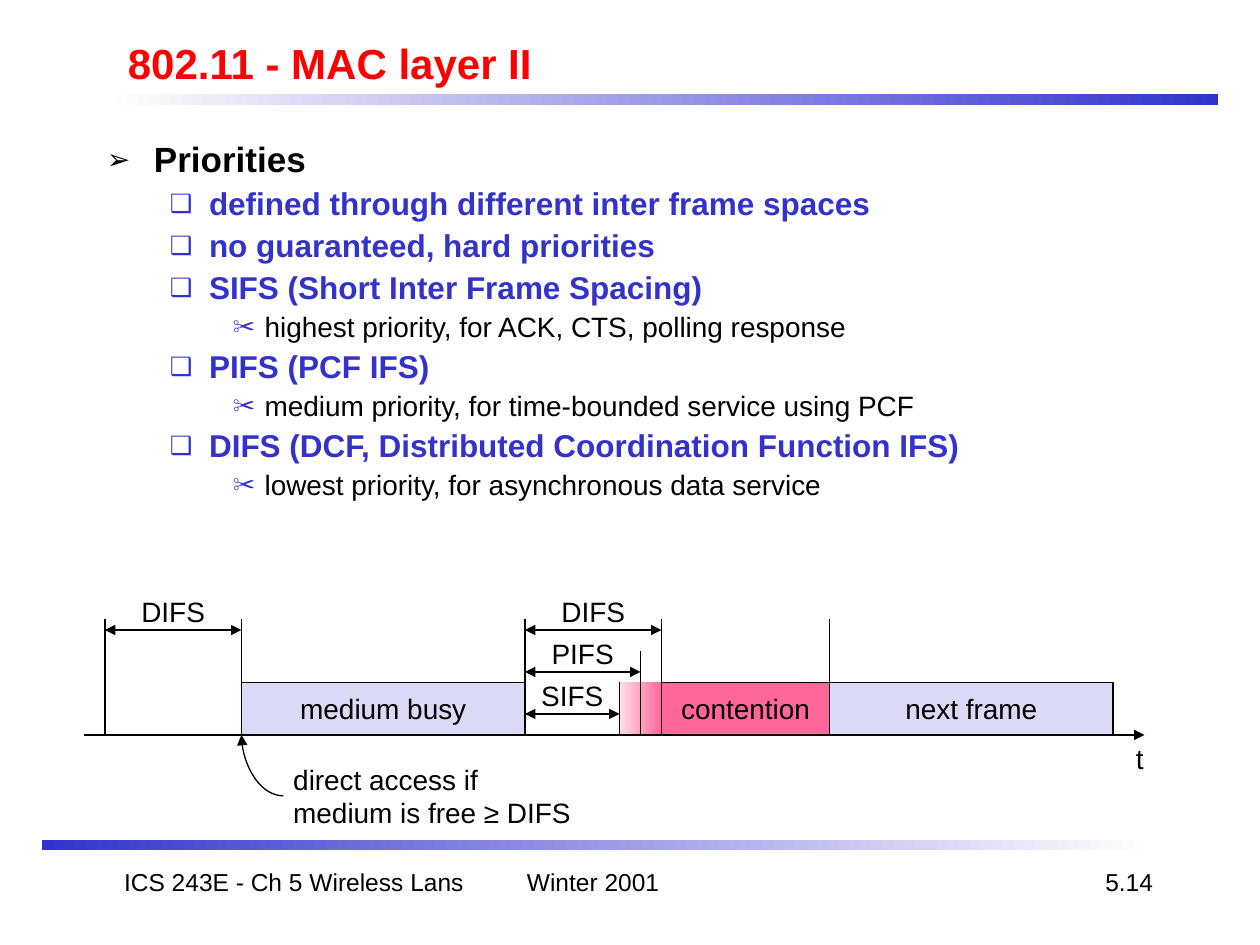
"""Build the slide on 802.11 MAC priorities with its inter frame space timeline."""
from dataclasses import dataclass

from lxml import etree
from pptx import Presentation
from pptx import util as u
from pptx.dml.color import RGBColor
from pptx.enum import shapes, text
from pptx.oxml.ns import qn

BLACK = RGBColor(0x00, 0x00, 0x00)
WHITE = RGBColor(0xFF, 0xFF, 0xFF)
RED = RGBColor(0xFF, 0x00, 0x00)
BLUE = RGBColor(0x33, 0x33, 0xCC)
LAVENDER = RGBColor(0xDA, 0xDA, 0xF6)
PINK = RGBColor(0xFF, 0x66, 0x99)
PALE_PINK = RGBColor(0xFF, 0xE0, 0xEA)
LEFT, CENTER, RIGHT = text.PP_ALIGN.LEFT, text.PP_ALIGN.CENTER, text.PP_ALIGN.RIGHT
AXIS, BLOCK_TOP, TICK_TOP = 70, 65, 59
LABEL_WIDTH = 11


@dataclass(frozen=True)
class Level:
    bullet: str
    bullet_color: RGBColor
    color: RGBColor
    size: int
    bold: bool
    margin: float
    hanging: float
    space_before: float


@dataclass(frozen=True)
class Block:
    label: str
    start: int
    end: int
    color: RGBColor


@dataclass(frozen=True)
class Interval:
    label: str
    start: int
    end: int
    y: int


@dataclass(frozen=True)
class Caption:
    label: str
    left: float
    top: float
    width: float
    height: float
    size: int = 16
    align: text.PP_ALIGN = LEFT
    color: RGBColor = BLACK
    bold: bool = False
    wrap: bool = False
    anchor: text.MSO_ANCHOR = text.MSO_ANCHOR.TOP


LEVELS = (
    Level("➢", BLACK, BLACK, 20, True, 0.95, 0.95, 5),
    Level("❑", BLUE, BLUE, 18, True, 2.06, 0.79, 4.5),
    Level("✂", BLUE, BLACK, 16, False, 3.18, 0.64, 4),
)
OUTLINE = (
    (0, "Priorities"),
    (1, "defined through different inter frame spaces"),
    (1, "no guaranteed, hard priorities"),
    (1, "SIFS (Short Inter Frame Spacing)"),
    (2, "highest priority, for ACK, CTS, polling response"),
    (1, "PIFS (PCF IFS)"),
    (2, "medium priority, for time-bounded service using PCF"),
    (1, "DIFS (DCF, Distributed Coordination Function IFS)"),
    (2, "lowest priority, for asynchronous data service"),
)
CAPTIONS = (
    Caption("802.11 - MAC layer II", 11, 3, 102, 6, 24, LEFT, RED, True, True,
            text.MSO_ANCHOR.MIDDLE),
    Caption("ICS 243E - Ch 5 Wireless Lans", 9, 82, 38, 6, 14, CENTER, wrap=True),
    Caption("Winter 2001", 49, 82, 25, 6, 14, wrap=True),
    Caption("5.14", 86, 82, 25, 6, 14, RIGHT, wrap=True),
    Caption("t", 107, 70, 3.1, 4.4),
    Caption("direct access if\vmedium is free ≥ DIFS", 26.75, 72, 29.5, 7.7),
)
BLOCKS = (
    Block("medium busy", 23, 50, LAVENDER),
    Block("next frame", 79, 106, LAVENDER),
    Block("contention", 63, 79, PINK),
)
INTERVALS = (
    Interval("DIFS", 10, 23, 60),
    Interval("DIFS", 50, 63, 60),
    Interval("PIFS", 50, 61, 64),
    Interval("SIFS", 50, 59, 68),
)
TICKS = ((10, TICK_TOP), (23, TICK_TOP), (50, TICK_TOP), (63, TICK_TOP),
         (79, TICK_TOP), (61, 62), (59, BLOCK_TOP))


def grid(units: float) -> u.Length:
    """Return a length in steps of a twelfth of an inch."""
    return u.Cm(units * 2.54 / 12)


def style_runs(paragraph, size: int, color: RGBColor, bold: bool = False) -> None:
    """Format every run of a paragraph."""
    for run in paragraph.runs:
        run.font.name = "Arial"
        run.font.size = u.Pt(size)
        run.font.bold = bold
        run.font.color.rgb = color


def add_rectangle(slide, left: float, top: float, width: float, height: float):
    """Add a plain rectangle without shadow."""
    shape = slide.shapes.add_shape(shapes.MSO_SHAPE.RECTANGLE, *map(grid, (left, top, width, height)))
    shape.shadow.inherit = False
    return shape


def add_gradient(slide, box: tuple[float, ...], start: RGBColor, end: RGBColor) -> None:
    """Add a borderless bar that fades from left to right."""
    shape = add_rectangle(slide, *box)
    shape.line.fill.background()
    shape.fill.gradient()
    shape.fill.gradient_angle = 0
    for stop, color in zip(shape.fill.gradient_stops, (start, end)):
        stop.color.rgb = color


def add_caption(slide, caption: Caption) -> None:
    """Add a text box with uniform formatting."""
    box = (caption.left, caption.top, caption.width, caption.height)
    frame = slide.shapes.add_textbox(*map(grid, box)).text_frame
    frame.word_wrap = caption.wrap
    frame.vertical_anchor = caption.anchor
    frame.text = caption.label
    frame.paragraphs[0].alignment = caption.align
    style_runs(frame.paragraphs[0], caption.size, caption.color, caption.bold)


def add_bullet(paragraph, level: Level) -> None:
    """Give a paragraph its hanging bullet."""
    properties = paragraph._p.get_or_add_pPr()
    properties.set("marL", str(u.Cm(level.margin)))
    properties.set("indent", str(-u.Cm(level.hanging)))
    color = etree.SubElement(properties, qn("a:buClr"))
    etree.SubElement(color, qn("a:srgbClr"), val=str(level.bullet_color))
    etree.SubElement(properties, qn("a:buSzPct"), val="80000")
    etree.SubElement(properties, qn("a:buFont"), typeface="Arial")
    etree.SubElement(properties, qn("a:buChar"), char=level.bullet)


def add_outline(slide) -> None:
    """Add the bulleted list of priorities."""
    frame = slide.shapes.add_textbox(*map(grid, (9, 13, 102, 38))).text_frame
    frame.word_wrap = True
    for index, (depth, label) in enumerate(OUTLINE):
        level = LEVELS[depth]
        paragraph = frame.add_paragraph() if index else frame.paragraphs[0]
        paragraph.text = label
        paragraph.level = depth
        add_bullet(paragraph, level)
        paragraph.line_spacing = 0.9
        paragraph.space_before = u.Pt(level.space_before if index else 0)
        style_runs(paragraph, level.size, level.color, level.bold)


def add_block(slide, block: Block) -> None:
    """Add a labelled period on the time axis."""
    shape = add_rectangle(slide, block.start, BLOCK_TOP, block.end - block.start, AXIS - BLOCK_TOP)
    shape.fill.solid()
    shape.fill.fore_color.rgb = block.color
    shape.line.color.rgb = BLACK
    shape.line.width = u.Pt(0.75)
    frame = shape.text_frame
    frame.word_wrap = False
    frame.vertical_anchor = text.MSO_ANCHOR.MIDDLE
    frame.text = block.label
    frame.paragraphs[0].alignment = CENTER
    style_runs(frame.paragraphs[0], 16, BLACK)


def add_line(slide, ends: tuple[float, ...], arrows: tuple[str, ...] = (),
             kind=shapes.MSO_CONNECTOR.STRAIGHT):
    """Add a thin black connector with arrowheads at the named ends."""
    connector = slide.shapes.add_connector(kind, *map(grid, ends))
    connector.line.color.rgb = BLACK
    connector.line.width = u.Pt(0.75)
    for arrow in arrows:
        etree.SubElement(connector.line._get_or_add_ln(), qn(arrow), type="triangle")
    etree.SubElement(connector._element.spPr, qn("a:effectLst"))
    return connector


def add_interval(slide, interval: Interval) -> None:
    """Add a double arrow with its name centred above."""
    add_line(slide, (interval.start, interval.y, interval.end, interval.y), ("a:headEnd", "a:tailEnd"))
    left = (interval.start + interval.end - LABEL_WIDTH) / 2
    add_caption(slide, Caption(interval.label, left, interval.y - 4, LABEL_WIDTH, 4.4, align=CENTER))


def main() -> None:
    """Build and save the presentation."""
    presentation = Presentation()
    presentation.slide_width, presentation.slide_height = u.Cm(25.4), u.Cm(19.05)
    slide = presentation.slides.add_slide(presentation.slide_layouts[6])
    add_gradient(slide, (10, 9, 106, 1), WHITE, BLUE)
    add_gradient(slide, (4, 80, 106, 1), BLUE, WHITE)
    add_gradient(slide, (59, BLOCK_TOP, 4, AXIS - BLOCK_TOP), PALE_PINK, PINK)
    add_outline(slide)
    add_line(slide, (8, AXIS, 109, AXIS), ("a:tailEnd",))
    for block in BLOCKS:
        add_block(slide, block)
    for x, top in TICKS:
        add_line(slide, (x, AXIS, x, top))
    for interval in INTERVALS:
        add_interval(slide, interval)
    for caption in CAPTIONS:
        add_caption(slide, caption)
    curve = add_line(slide, (27, 75.8, 23, AXIS), ("a:tailEnd",), shapes.MSO_CONNECTOR.CURVE)
    curve._element.spPr.find(qn("a:prstGeom")).set("prst", "curvedConnector2")
    presentation.save("out.pptx")


if __name__ == "__main__":
    main()
